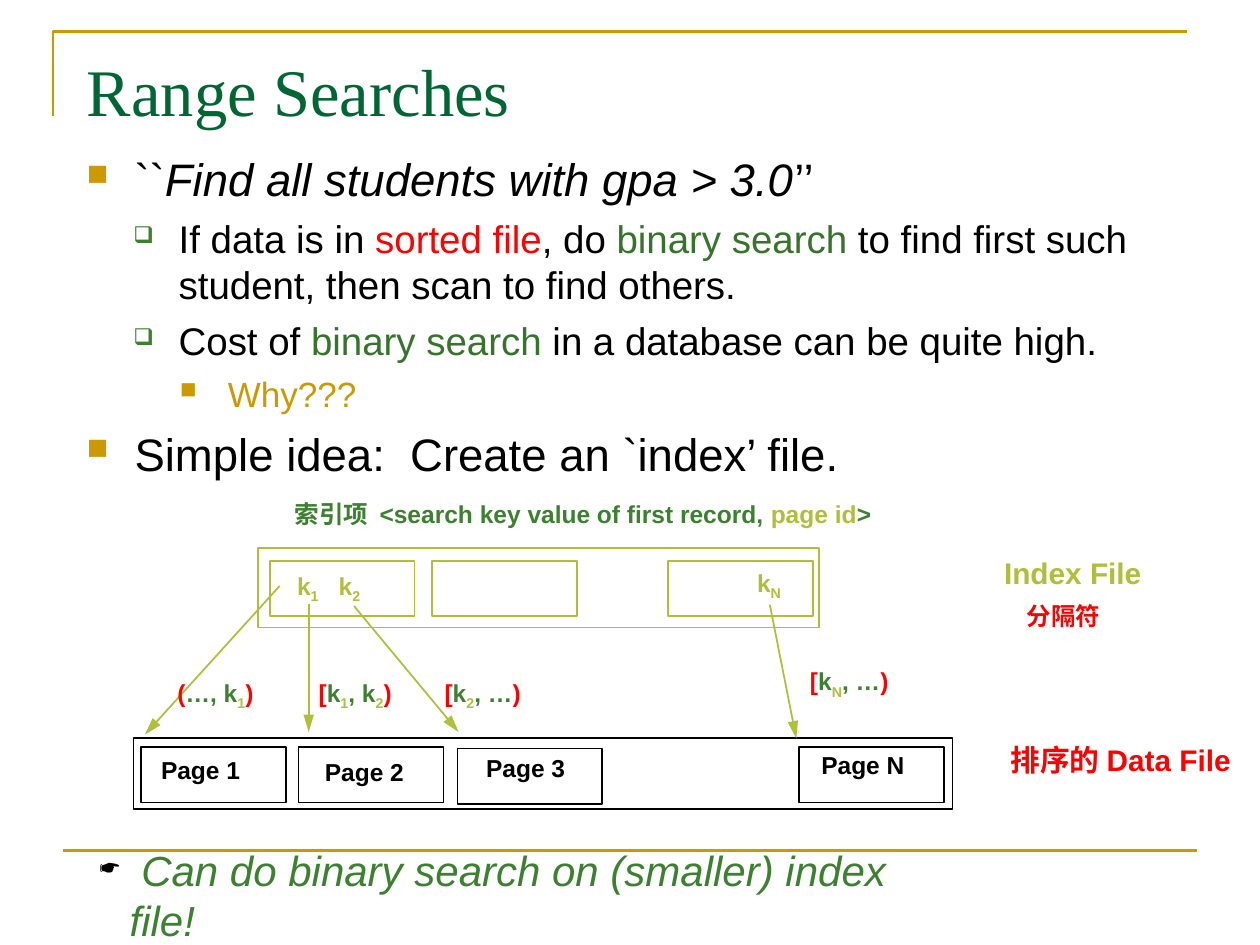
from lxml import etree
from pptx import Presentation
from pptx.dml.color import RGBColor
from pptx.enum.shapes import MSO_CONNECTOR, MSO_SHAPE
from pptx.enum.text import MSO_ANCHOR, MSO_AUTO_SIZE, PP_ALIGN
from pptx.oxml.ns import qn
from pptx.util import Inches, Pt

RECTANGLE = MSO_SHAPE.RECTANGLE
STRAIGHT = MSO_CONNECTOR.STRAIGHT
LEFT, MIDDLE, TOP = PP_ALIGN.LEFT, MSO_ANCHOR.MIDDLE, MSO_ANCHOR.TOP
NO_FIT = MSO_AUTO_SIZE.NONE

THEME = {
    "black": "000000", "gold": "CC9900", "title": "006633", "red": "FF0000",
    "green": "3B812F", "leaf": "35742A", "lime": "AFBF39",
    "heading font": "Times New Roman", "body font": "Arial",
    "title size": 38, "levels": (26, 22, 20), "closing size": 24,
    "file size": 17, "label size": 14, "rule": 1.5, "outline": 1,
}

# A span is (text, colour) or (text, colour, extra font values).
ITALIC = {"italic": True}
TITLE = [("Range Searches", "title")]
BODY = [
    (0, [("``", "black"), ("Find all students with gpa > 3.0", "black", ITALIC), ("’’", "black")]),
    (1, [("If data is in ", "black"), ("sorted file", "red"), (", do ", "black"),
         ("binary search ", "leaf"),
         ("to find first such student, then scan to find others.", "black")]),
    (1, [("Cost of ", "black"), ("binary search ", "leaf"),
         ("in a database can be quite high.", "black")]),
    (2, [("Why???", "gold")]),
    (0, [("Simple idea:  Create an `index’ file.", "black")]),
]
CLOSING = [(" ", "black"), ("Can do binary search on (smaller) index file!", "green", ITALIC)]

# Bullet, colour, size in percent, left margin, hanging indent, space before
LEVELS = [
    ("■", "gold", 65, 0.38, 0.38, 6.5),
    ("❑", "green", 60, 0.73, 0.36, 5.5),
    ("■", "gold", 65, 1.12, 0.38, 5),
]
CLOSING_BULLET = ("☛", "black", 65, 0.24, 0.24, 0)

CELL = (1.15, 0.44)
DATA_FILE = (1.06, 5.86, 6.5, 0.56)
PAGES = [(1.12, 5.93), (2.37, 5.93), (3.63, 5.94), (6.34, 5.93)]
INDEX_FILE = (2.05, 4.35, 4.45, 0.63)
INDEX_PAGES = [(left, 4.45) for left in (2.14, 3.43, 5.3)]
ARROWS = [
    ((6.11, 4.8), (6.32, 5.86)),
    ((2.45, 4.79), (2.45, 5.81)),
    ((2.81, 4.81), (3.64, 5.81)),
    ((2.22, 4.65), (1.15, 5.83)),
]
LABEL_SLACK = 0.1  # extra width that keeps every label on one line


def sub(text):
    return text, "lime", {"subscript": True}


def interval(*middle):
    return [("[", "red"), ("k", "green"), *middle, (")", "red")]


LABELS = [
    ((1.18, 5.94, 0.83, 0.33), [("Page 1", "black")]),
    ((2.48, 5.96, 0.83, 0.33), [("Page 2", "black")]),
    ((3.76, 5.93, 0.83, 0.33), [("Page 3", "black")]),
    ((6.42, 5.9, 0.86, 0.33), [("Page N", "black")]),
    ((2.26, 4.48, 0.37, 0.37), [("k", "lime"), sub("1")]),
    ((2.59, 4.48, 0.37, 0.37), [("k", "lime"), sub("2")]),
    ((5.91, 4.46, 0.39, 0.37), [("k", "lime"), sub("N")]),
    ((2.24, 3.91, 4.82, 0.34), [("索引项  <search key value of first record, ", "green"),
                                ("page id", "lime"), (">", "green")]),
    ((1.31, 5.33, 0.8, 0.37), [("(", "red"), ("…, k", "green"), sub("1"), (")", "red")]),
    ((2.43, 5.33, 0.78, 0.37), interval(sub("1"), (", k", "green"), sub("2"))),
    ((3.43, 5.33, 0.8, 0.37), interval(sub("2"), (", …", "green"))),
    ((6.33, 5.24, 0.82, 0.37), interval(sub("N"), (", …", "green"))),
    ((8.05, 4.72, 0.78, 0.34), [("分隔符", "red")]),
]
FILE_LABELS = [
    ((7.87, 4.35, 1.29, 0.38), [("Index File", "lime")]),
    ((7.92, 5.84, 2.01, 0.38), [("排序的 Data File", "red")]),
]


def color(name):
    return RGBColor.from_string(THEME[name])


def inches(values):
    return [Inches(value) for value in values]


def set_values(target, values):
    for name, value in values.items():
        setattr(target, name, value)


def write(para, spans, size, font="body font", bold=False):
    for text, tint, *extra in spans:
        span = para.add_run()
        span.text = text
        values = {"name": THEME[font], "size": Pt(size), "bold": bold}
        for more in extra:
            values.update(more)
        subscript = values.pop("subscript", False)
        set_values(span.font, values)
        span.font.color.rgb = color(tint)
        if subscript:
            span.font._element.set("baseline", "-25000")


def set_bullet(para, bullet, first):
    char, tint, percent, margin, hanging, before = bullet
    para.space_before = Pt(0 if first else before)
    props = para._p.get_or_add_pPr()
    props.set("marL", str(Inches(margin)))
    props.set("indent", str(-Inches(hanging)))
    tint_node = etree.SubElement(props, qn("a:buClr"))
    etree.SubElement(tint_node, qn("a:srgbClr"), val=THEME[tint])
    etree.SubElement(props, qn("a:buSzPct"), val=str(percent * 1000))
    etree.SubElement(props, qn("a:buChar"), char=char)


def add_text_box(slide, place):
    frame = slide.shapes.add_textbox(*inches(place)).text_frame
    set_values(frame, {"vertical_anchor": TOP, "word_wrap": True, "auto_size": NO_FIT})
    return frame


def add_labels(slide, labels, size):
    for (left, top, width, height), spans in labels:
        frame = add_text_box(slide, (left, top, width + LABEL_SLACK, height))
        frame.margin_right = 0
        write(frame.paragraphs[0], spans, size, bold=True)


def set_line(shape, tint, width):
    shape.line.color.rgb = color(tint)
    shape.line.width = Pt(width)


def add_outline(slide, place, tint):
    box = slide.shapes.add_shape(RECTANGLE, *inches(place))
    box.shadow.inherit = False
    box.fill.background()
    set_line(box, tint, THEME["outline"])


def add_line(slide, start, end, tint, width, arrow=False):
    line = slide.shapes.add_connector(STRAIGHT, *inches(start + end))
    set_line(line, tint, width)
    if arrow:
        etree.SubElement(line.line._get_or_add_ln(), qn("a:tailEnd"),
                         type="triangle", w="med", len="lg")
    etree.SubElement(line._element.spPr, qn("a:effectLst"))


def add_frame_rules(slide):
    start, *others = [inches(point) for point in ((0.42, 0.92), (0.42, 0.25), (9.42, 0.25))]
    builder = slide.shapes.build_freeform(*start)
    builder.add_line_segments(others, close=False)
    corner = builder.convert_to_shape()
    corner.shadow.inherit = False
    corner.fill.background()
    set_line(corner, "gold", THEME["rule"])
    add_line(slide, (0.5, 6.75), (9.5, 6.75), "gold", THEME["rule"])


def add_title(slide):
    title = slide.shapes.title
    set_values(title, dict(zip(("left", "top", "width", "height"),
                               inches((0.59, 0.36, 8.74, 0.71)))))
    set_values(title.text_frame, {"vertical_anchor": MIDDLE, "word_wrap": True,
                                  "auto_size": NO_FIT})
    para = title.text_frame.paragraphs[0]
    para.alignment = LEFT
    write(para, TITLE, THEME["title size"], "heading font")


def add_body(slide):
    frame = add_text_box(slide, (0.59, 1.15, 8.67, 5.5))
    for number, (level, spans) in enumerate(BODY):
        para = frame.add_paragraph() if number else frame.paragraphs[0]
        para.level = level
        set_bullet(para, LEVELS[level], number == 0)
        write(para, spans, THEME["levels"][level])

    closing = add_text_box(slide, (0.69, 6.65, 6.98, 0.5)).paragraphs[0]
    set_bullet(closing, CLOSING_BULLET, True)
    write(closing, CLOSING, THEME["closing size"])


def add_diagram(slide):
    for outer, cells, tint in ((DATA_FILE, PAGES, "black"), (INDEX_FILE, INDEX_PAGES, "lime")):
        for place in [outer] + [cell + CELL for cell in cells]:
            add_outline(slide, place, tint)
    for start, end in ARROWS:
        add_line(slide, start, end, "lime", THEME["outline"], arrow=True)
    add_labels(slide, LABELS, THEME["label size"])
    add_labels(slide, FILE_LABELS, THEME["file size"])


def main():
    deck = Presentation()
    deck.slide_width, deck.slide_height = Inches(10), Inches(7.5)
    slide = deck.slides.add_slide(deck.slide_layouts.get_by_name("Title Only"))
    add_frame_rules(slide)
    add_title(slide)
    add_body(slide)
    add_diagram(slide)
    deck.save("out.pptx")


if __name__ == "__main__":
    main()
